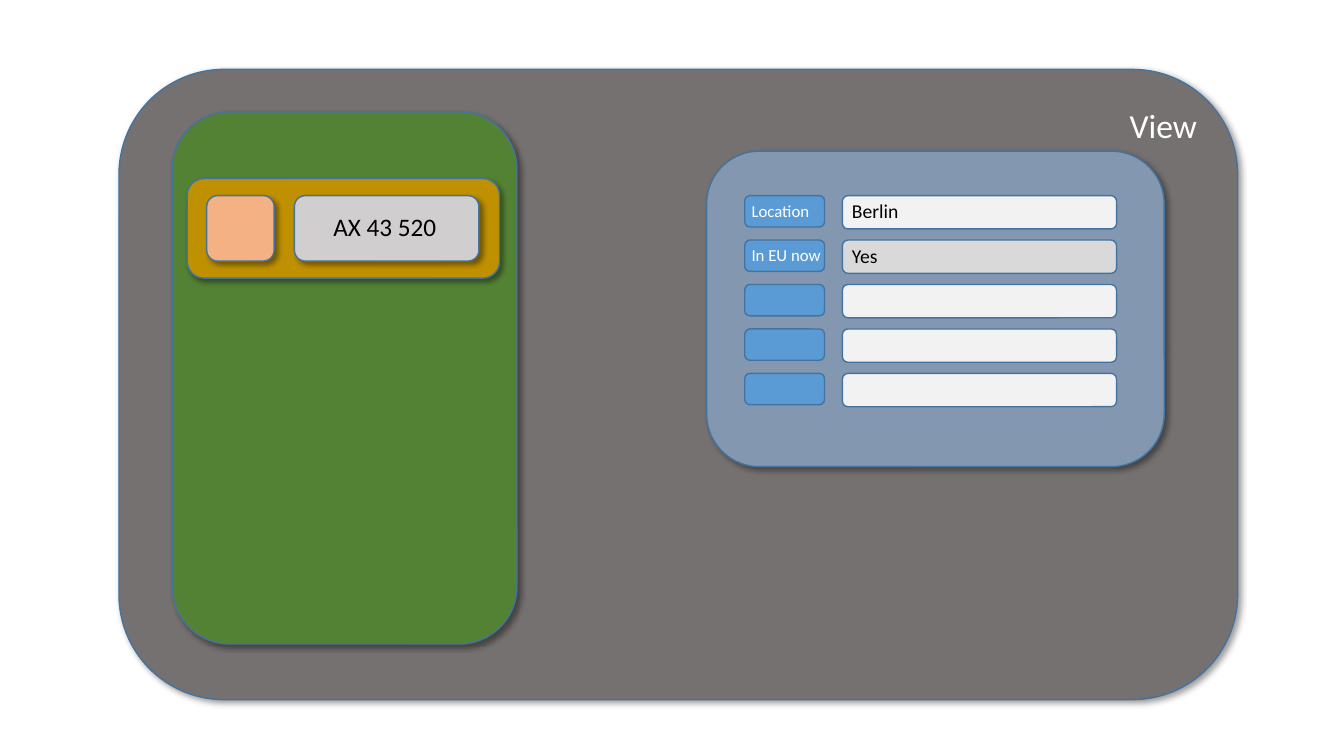
from dataclasses import dataclass

from lxml import etree
from pptx import Presentation
from pptx.dml.color import RGBColor
from pptx.enum.shapes import MSO_SHAPE
from pptx.enum.text import MSO_ANCHOR, MSO_AUTO_SIZE, PP_ALIGN
from pptx.oxml.ns import qn
from pptx.util import Cm, Pt

ROUNDED = MSO_SHAPE.ROUNDED_RECTANGLE
TOP = MSO_ANCHOR.TOP
RIGHT = PP_ALIGN.RIGHT
GROW = MSO_AUTO_SIZE.SHAPE_TO_FIT_TEXT
BLANK_LAYOUT = 6


@dataclass(frozen=True)
class Theme:
    font: str = "Calibri"
    outline: str = "43739E"
    view: str = "767171"
    sidebar: str = "548235"
    item: str = "BF9000"
    icon: str = "F4B183"
    plate: str = "D0CECE"
    form: str = "8497B0"
    label: str = "5B9BD5"
    field: str = "F2F2F2"
    selected_field: str = "D9D9D9"
    light: str = "FFFFFF"
    dark: str = "000000"
    heading_size: int = 24
    plate_size: int = 18
    value_size: int = 14
    label_size: int = 12


class SlideBuilder:
    def __init__(self, slide, theme):
        self.slide = slide
        self.theme = theme

    def panel(self, box, fill, shadow=True, container=None):
        shapes = (container or self.slide).shapes
        shape = shapes.add_shape(ROUNDED, *map(Cm, box))
        shape.fill.solid()
        shape.fill.fore_color.rgb = RGBColor.from_string(fill)
        shape.line.color.rgb = RGBColor.from_string(self.theme.outline)
        shape.line.width = Pt(1)
        shape.shadow.inherit = False
        if shadow:
            self.drop_shadow(shape)
        return shape

    def drop_shadow(self, shape):
        effects = shape.element.spPr.find(qn("a:effectLst"))
        outer = etree.SubElement(
            effects, qn("a:outerShdw"), blurRad=str(Pt(4)), dist=str(Pt(3)),
            dir=str(45 * 60000), algn="tl", rotWithShape="0")
        color = etree.SubElement(outer, qn("a:srgbClr"), val=self.theme.dark)
        etree.SubElement(color, qn("a:alpha"), val="40000")

    def set_text(self, shape, text, size, color):
        paragraph = shape.text_frame.paragraphs[0]
        paragraph.text = text
        paragraph.font.name = self.theme.font
        paragraph.font.size = Pt(size)
        paragraph.font.color.rgb = RGBColor.from_string(color)
        return paragraph

    def caption(self, box, text, size, color):
        shape = self.slide.shapes.add_textbox(*map(Cm, box))
        shape.text_frame.word_wrap = False
        shape.text_frame.auto_size = GROW
        self.set_text(shape, text, size, color)


def main():
    presentation = Presentation()
    presentation.slide_width = Cm(33.87)
    presentation.slide_height = Cm(19.05)
    slide = presentation.slides.add_slide(presentation.slide_layouts[BLANK_LAYOUT])
    theme = Theme()
    builder = SlideBuilder(slide, theme)

    view = builder.panel((3, 1.75, 28.19, 15.88), theme.view)
    view.text_frame.vertical_anchor = TOP
    heading = builder.set_text(view, "View", theme.heading_size, theme.light)
    heading.alignment = RIGHT

    builder.panel((4.34, 2.82, 8.69, 13.41), theme.sidebar)
    builder.panel((4.72, 4.5, 7.87, 2.51), theme.item)
    builder.panel((17.81, 3.81, 11.53, 7.95), theme.form)
    builder.panel((5.21, 4.93, 1.7, 1.65), theme.icon)
    builder.panel((7.42, 4.93, 4.65, 1.65), theme.plate)

    row_top, row_pitch, row_count, selected_row = 4.93, 1.12, 5, 1
    rows = slide.shapes.add_group_shape()
    for row in range(row_count):
        top = row_top + row * row_pitch
        fill = theme.selected_field if row == selected_row else theme.field
        builder.panel((18.77, top, 2.01, 0.79), theme.label, False, rows)
        builder.panel((21.23, top, 6.91, 0.84), fill, False, rows)

    builder.caption((8.15, 5.21, 3.12, 1.02), "AX 43 520", theme.plate_size, theme.dark)
    entries = [("Location", 1.98, "Berlin", 1.7), ("In EU now", 2.29, "Yes", 1.17)]
    for row, (label, label_width, value, value_width) in enumerate(entries):
        top = row_top + row * row_pitch
        builder.caption((18.69, top, label_width, 0.76), label,
                        theme.label_size, theme.light)
        builder.caption((21.22, top - 0.03, value_width, 0.86), value,
                        theme.value_size, theme.dark)

    presentation.save("out.pptx")


if __name__ == "__main__":
    main()
